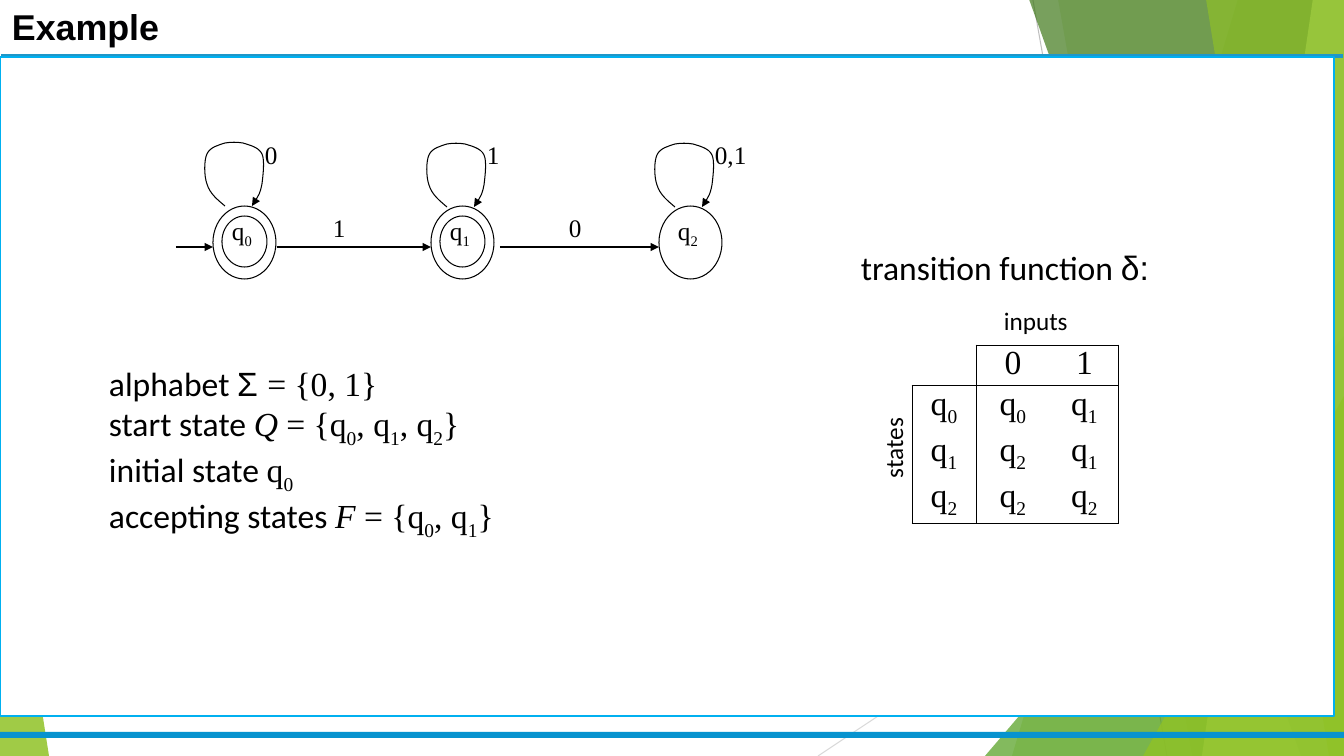
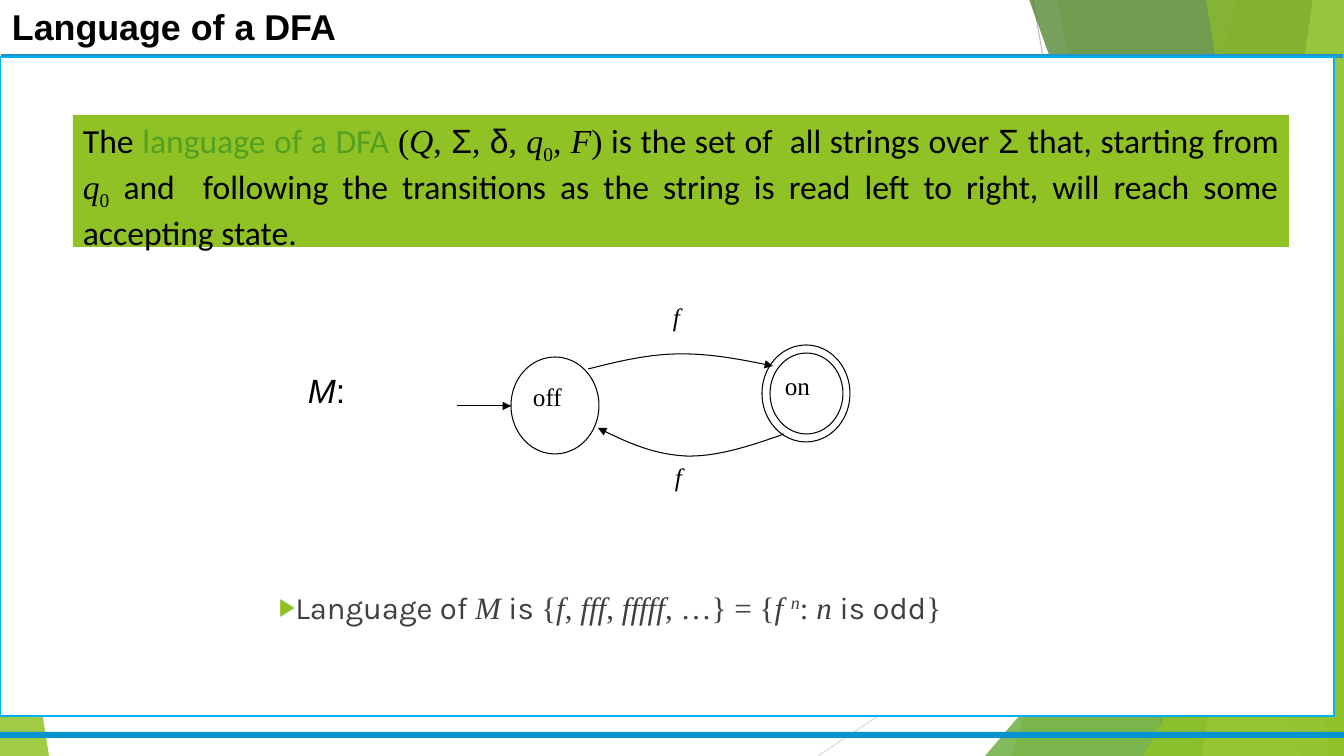
from lxml.etree import SubElement
from pptx import Presentation
from pptx.dml.color import RGBColor
from pptx.enum.shapes import MSO_CONNECTOR, MSO_SHAPE
from pptx.enum.text import MSO_ANCHOR, PP_ALIGN
from pptx.oxml.ns import qn
from pptx.util import Pt

PX = 12192000 / 1344
WIDE, HIGH = 1344, 756
HUES = {
    "black": "000000", "title": "010103", "grey": "404040", "white": "FFFFFF",
    "lime": "90C226", "green": "54A021", "moss": "3F7819", "pale": "C0E474",
    "silver": "BFBFBF", "mist": "D9D9D9",
    "rule": "1F97C8", "bar": "0793CF", "frame": "00B0F0",
}
FONTS = {"a": "Arial", "c": "Calibri", "k": "Karla", "t": "Times New Roman"}


def text(frame, marks, size=18, hue="black", bold=False, align=None, wrap=False, bullet=None):
    """Each run is 'codes:words': a font letter, then i italic, _ sub, ^ super, g green."""
    frame.word_wrap = wrap
    frame.vertical_anchor = MSO_ANCHOR.TOP
    for n, line in enumerate(marks.split("\n")):
        para = frame.add_paragraph() if n else frame.paragraphs[0]
        para.alignment = align
        if bullet:
            prop = para._p.get_or_add_pPr()
            prop.set("marL", "0")
            prop.set("indent", str(round(-38 * PX)))
            tint = SubElement(prop, qn("a:buClr"))
            SubElement(tint, qn("a:srgbClr"), val=HUES["lime"])
            SubElement(prop, qn("a:buSzPct"), val="80000")
            SubElement(prop, qn("a:buFont"), typeface="Arial")
            SubElement(prop, qn("a:buChar"), char=bullet)
        for part in line.split("|"):
            codes, _, words = part.partition(":")
            run = para.add_run()
            run.text = words
            font = run.font
            font.name = FONTS[codes[0]]
            font.size = Pt(size)
            font.bold = bold
            font.italic = "i" in codes
            font.color.rgb = RGBColor.from_string(HUES["green" if "g" in codes else hue])
            if "_" in codes:
                font._element.set("baseline", "-25000")
            if "^" in codes:
                font._element.set("baseline", "30000")


def style(shape, fill=None, alpha=100, line=None, width=0.75, arrow=False):
    props = shape.element.spPr
    if fill:
        shape.fill.solid()
        shape.fill.fore_color.rgb = RGBColor.from_string(HUES[fill])
        if alpha < 100:
            tint = props.find(".//" + qn("a:srgbClr"))
            SubElement(tint, qn("a:alpha"), val=str(alpha * 1000))
    elif hasattr(shape, "fill"):
        shape.fill.background()
    if line:
        shape.line.color.rgb = RGBColor.from_string(HUES[line])
        shape.line.width = Pt(width)
    else:
        shape.line.fill.background()
    if arrow:
        SubElement(props.find(qn("a:ln")), qn("a:tailEnd"), type="triangle")
    SubElement(props, qn("a:effectLst"))
    return shape


deck = Presentation()
deck.slide_width, deck.slide_height = round(WIDE * PX), round(HIGH * PX)
blank = deck.slide_layouts[6]
for spare in list(blank.placeholders):
    spare.element.getparent().remove(spare.element)
first, second = [deck.slides.add_slide(blank) for _ in range(2)]

# Backdrop: drawn on the first slide, then moved to the shared layout
shapes = first.shapes
for x1, y1, x2, y2, hue in [(1033, 0, 1167, 756, "silver"), (1344, 406, 818, 756, "mist")]:
    ray = shapes.add_connector(MSO_CONNECTOR.STRAIGHT, *[round(v * PX) for v in (x1, y1, x2, y2)])
    style(ray, line=hue)

# A pair is a wedge's top and bottom edge; four values are a triangle's box
for dims, hue, alpha in [
    ((1238, 1012), "lime", 30),
    ((1058, 1192), "lime", 20),
    ((985, 336, 359, 420), "green", 72),
    ((1029, 1301), "moss", 70),
    ((1313, 1202), "pale", 70),
    ((1206, 1329), "lime", 65),
    ((1143, 396, 201, 360), "lime", 80),
    ((0, 443, 49, 313), "lime", 85),
]:
    if len(dims) == 2:
        top, base = dims
        pen = shapes.build_freeform(top, -1, scale=PX)
        pen.add_line_segments([(WIDE, -1), (WIDE, HIGH), (base, HIGH)], close=True)
        facet = pen.convert_to_shape()
    else:
        facet = shapes.add_shape(MSO_SHAPE.ISOSCELES_TRIANGLE, *[round(v * PX) for v in dims])
        facet.adjustments[0] = 1 if dims[0] else 0
    style(facet, hue, alpha)

rule = shapes.add_connector(
    MSO_CONNECTOR.STRAIGHT, *[round(v * PX) for v in (1, 56, 1343, 56)])
style(rule, line="rule", width=2.25)
for dims, look in [
    ((0, 732, WIDE, 6), {"fill": "bar"}),
    ((0, 57, 1334, 659), {"fill": "white", "line": "frame", "width": 1.5}),
]:
    panel = shapes.add_shape(MSO_SHAPE.RECTANGLE, *[round(v * PX) for v in dims])
    style(panel, **look)
for shape in list(shapes):
    blank.shapes.element.append(shape.element)

# Titles
for page, words in [(first, "Example"), (second, "Language of a DFA")]:
    box = page.shapes.add_textbox(*[round(v * PX) for v in (12, 5, 793, 43)])
    frame = box.text_frame
    frame.margin_left = frame.margin_right = frame.margin_top = frame.margin_bottom = 0
    text(frame, "a:" + words, size=25.6, hue="title", bold=True, wrap=True)

# Definition panel
panel = second.shapes.add_shape(
    MSO_SHAPE.RECTANGLE, *[round(v * PX) for v in (73, 115, 1216, 132)])
style(panel, "lime")
text(
    panel.text_frame,
    "c:The |cg:language of a DFA |t:(|ti:Q|t:, |a:Σ|t:, |a:δ|t:, |ti:q|t_:0|t:, |ti:F|t:)"
    "|c: is the set of  all strings over |a:Σ|c: that, starting from |ti:q|t_:0"
    "|c: and  following the transitions as the string is read left to right, "
    "will reach some accepting state.",
    size=24, align=PP_ALIGN.JUSTIFY, wrap=True,
)

# States
rings = [(second, 511, 357, 88, 97), (second, 762, 345, 88, 97), (second, 770, 353, 73, 81)]
labels = []
for n, x in enumerate((213, 431, 659)):
    rings.append((first, x, 206, 63, 73))
    if n < 2:
        rings.append((first, x + 9, 216, 45, 51))
    labels.append((first, x + 9, 210, 44, 49, f"t:q|t_:{n}", 18))
for page, *dims in rings:
    ring = page.shapes.add_shape(MSO_SHAPE.OVAL, *[round(v * PX) for v in dims])
    style(ring, line="black")

# Straight arrows
for page, x1, x2, y in [
    (first, 176, 213, 247), (first, 277, 431, 247), (first, 500, 659, 247),
    (second, 457, 511, 406),
]:
    arrow = page.shapes.add_connector(
        MSO_CONNECTOR.STRAIGHT, *[round(v * PX) for v in (x1, y, x2, y)])
    style(arrow, line="black", arrow=True)

# Curved arrows: a start, then three points for each Bézier piece
loop = [
    (225, 206), (218, 200), (210, 194), (207, 184), (204, 176), (204, 160), (207, 154),
    (210, 147), (219, 145), (225, 143), (231, 142), (237, 142), (243, 143),
    (249, 145), (259, 147), (262, 154), (265, 160), (263, 176), (262, 184),
    (260, 194), (256, 200), (252, 206),
]
curves = [
    (second, [(588, 369), (616, 362), (644, 355), (674, 354), (706, 353), (739, 359), (773, 366)]),
    (second, [(784, 434), (750, 446), (717, 457), (685, 456), (654, 454), (626, 442), (598, 428)]),
]
for dx, dy in [(0, 0), (222, 1), (450, 1)]:
    curves.append((first, [(x + dx, y + dy) for x, y in loop]))
for page, dots in curves:
    pen = page.shapes.build_freeform(*dots[0], scale=PX)
    pen.add_line_segments(dots[1:], close=False)
    curve = pen.convert_to_shape()
    track = curve.element.find(".//" + qn("a:path"))
    legs = track.findall(qn("a:lnTo"))
    for n in range(0, len(legs), 3):
        bend = SubElement(track, qn("a:cubicBezTo"))
        for leg in legs[n:n + 3]:
            bend.append(leg[0])
            track.remove(leg)
    style(curve, line="black", arrow=True)

# Labels
labels += [
    (first, 323, 207, 35, 49, "t:1", 18),
    (first, 559, 207, 35, 49, "t:0", 18),
    (first, 255, 134, 35, 49, "t:0", 18),
    (first, 477, 134, 35, 49, "t:1", 18),
    (first, 705, 134, 53, 49, "t:0,1", 18),
    (first, 99, 358, 495, 173,
     "c:alphabet |a:Σ |t:= {0, 1}\n"
     "c:start state |ti:Q|t: = {q|t_:0|t:, q|t_:1|t:, q|t_:2|t:}\n"
     "c:initial state |t:q|t_:0\n"
     "c:accepting states |ti:F|t: = {q|t_:0|t:, q|t_:1|t:}", 24),
    (first, 851, 242, 322, 50, "c:transition function |a:δ:", 24),
    (first, 994, 300, 87, 40, "c:inputs", 18),
    (first, 850, 425, 86, 40, "c:states", 18),
    (second, 523, 376, 64, 58, "t:off", 18),
    (second, 775, 365, 59, 58, "t:on", 18),
    (second, 663, 296, 33, 58, "ti:f", 18),
    (second, 665, 456, 33, 58, "ti:f", 18),
    (second, 298, 365, 75, 73, "ai:M|a::", 24),
]
for page, x, y, w, h, marks, size in labels:
    box = page.shapes.add_textbox(*[round(v * PX) for v in (x, y, w, h)])
    text(box.text_frame, marks, size=size, wrap="\n" in marks)
    if marks == "c:states":
        box.rotation = 270

# Transition table
rows = [("", "t:0", "t:1")] + [
    [f"t:q|t_:{n}" for n in trio] for trio in ((0, 0, 1), (1, 2, 1), (2, 2, 2))]
grid = first.shapes.add_table(4, 3, *[round(v * PX) for v in (912, 345, 207, 168)]).table
grid.first_row = grid.horz_banding = False
for c, w in enumerate((64, 74, 69)):
    grid.columns[c].width = round(w * PX)
for r, row in enumerate(rows):
    grid.rows[r].height = round((43 if r else 39) * PX)
    for c, marks in enumerate(row):
        cell = grid.cell(r, c)
        cell.margin_left = cell.margin_right = cell.margin_top = cell.margin_bottom = 0
        cell.fill.background()
        if marks:
            text(cell.text_frame, marks, size=24, align=PP_ALIGN.CENTER, wrap=True)
        edges = {
            "lnL": c == 1 or (c == 0 and r > 0),
            "lnR": c != 1,
            "lnT": r == 1 or (r == 0 and c > 0),
            "lnB": r in (0, 3),
        }
        prop = cell._tc.get_or_add_tcPr()
        for n, (side, drawn) in enumerate(edges.items()):
            edge = SubElement(prop, qn("a:" + side), w=str(Pt(0.75)))
            prop.insert(n, edge)
            ink = SubElement(edge, qn("a:solidFill" if drawn else "a:noFill"))
            if drawn:
                SubElement(ink, qn("a:srgbClr"), val=HUES["black"])

# Language of the machine
box = second.shapes.add_textbox(*[round(v * PX) for v in (269, 583, 714, 65)])
text(
    box.text_frame,
    "k:Language of |ti:M|k: is |t:{|ti:f|t:, |ti:fff|t:, |ti:fffff|t:, …} = {"
    "|ti:f |ti^:n|t:: |ti:n |k:is odd|t:}",
    size=22.2, hue="grey", wrap=True, bullet="▶",
)

deck.save("out.pptx")
